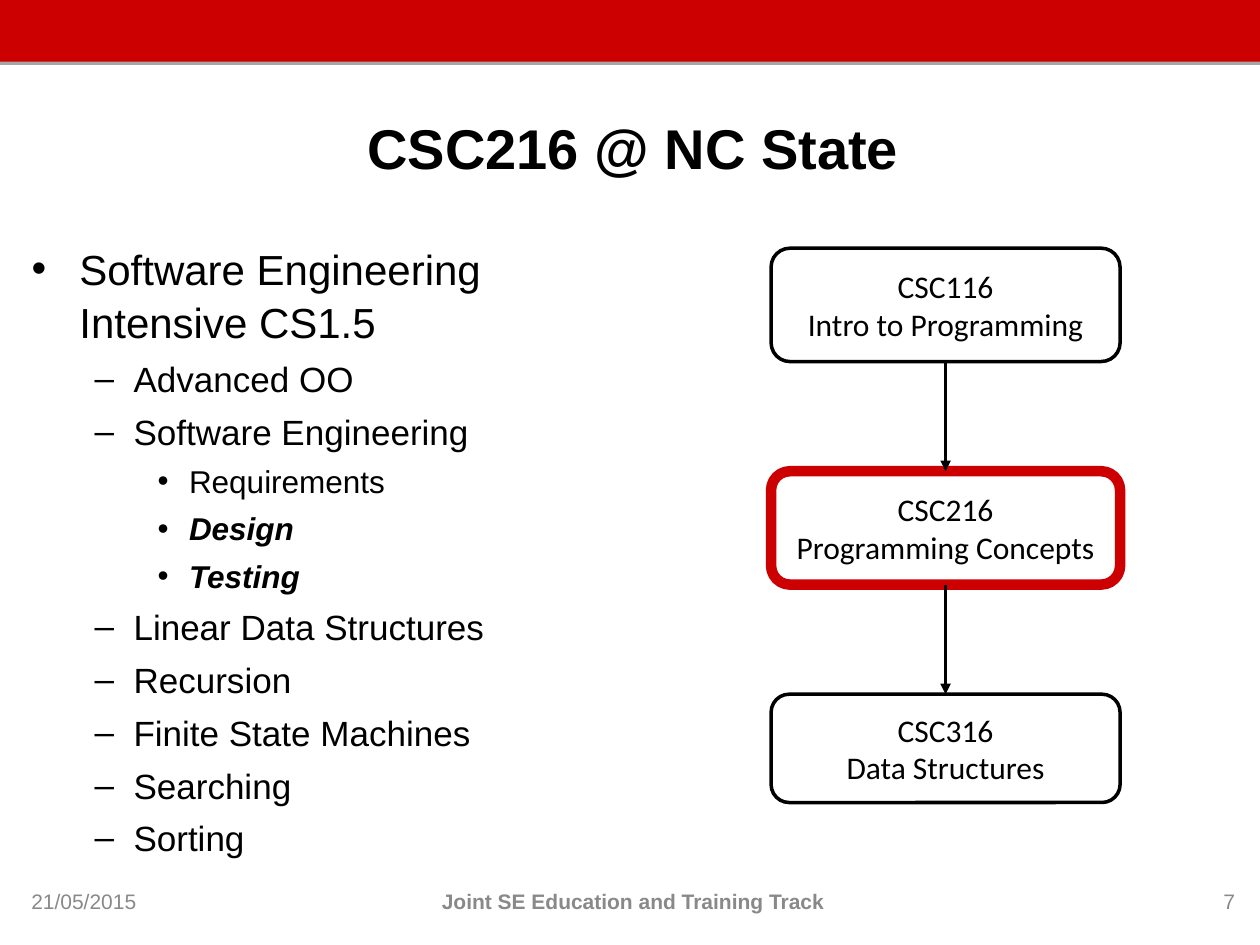
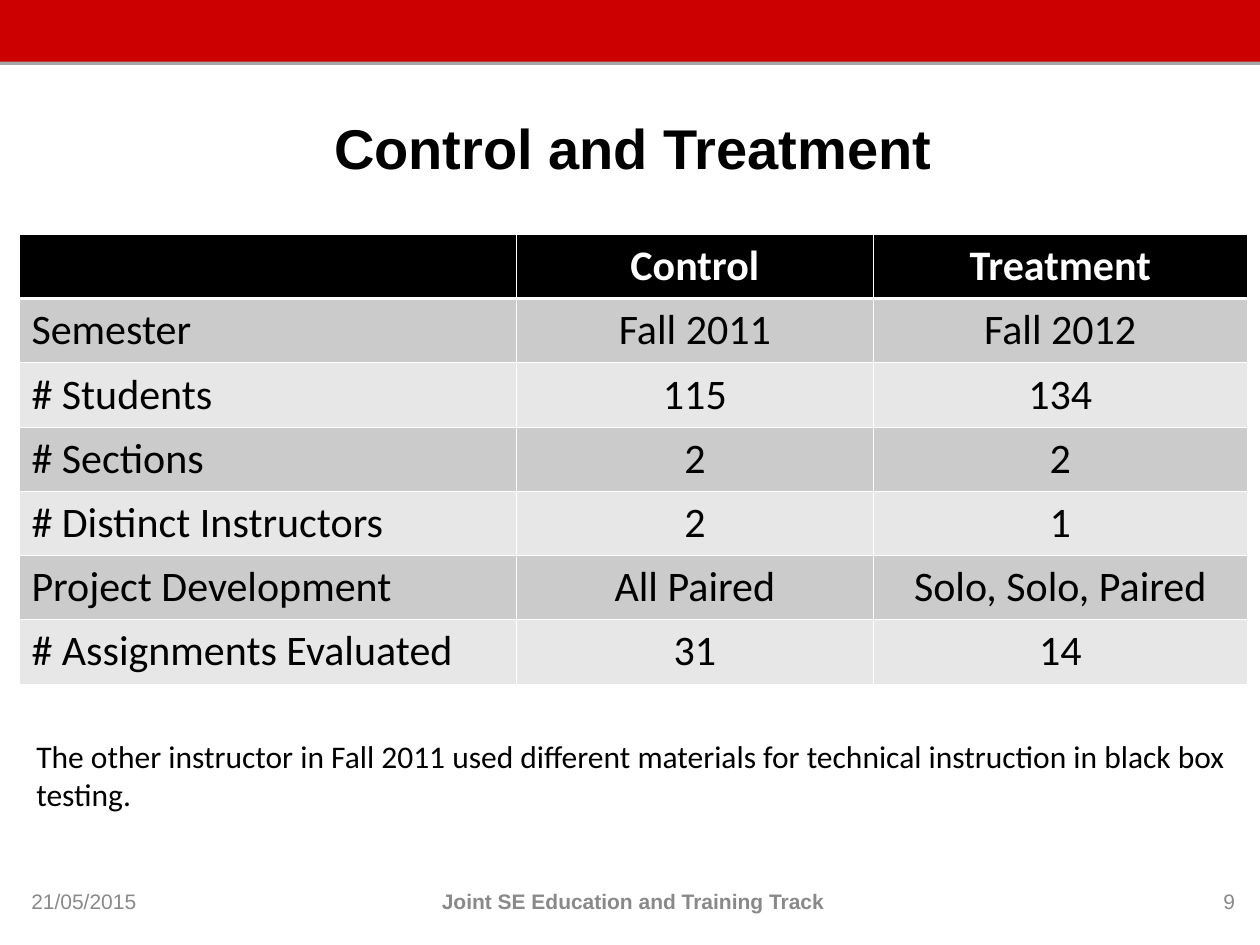
import lxml.etree
import pptx
import pptx.dml.color
import pptx.enum.shapes
import pptx.enum.text
import pptx.oxml.ns
import pptx.util

Inches = pptx.util.Inches
Pt = pptx.util.Pt
qn = pptx.oxml.ns.qn
ALIGN = pptx.enum.text.PP_ALIGN
MIDDLE = pptx.enum.text.MSO_ANCHOR.MIDDLE
SHAPE = pptx.enum.shapes.MSO_SHAPE

COLORS = {
    "red": "CC0001",
    "black": "000000",
    "white": "FFFFFF",
    "footer": "898989",
    "dark row": "CBCBCB",
    "light row": "E7E7E7",
}
RGB = {name: pptx.dml.color.RGBColor.from_string(value) for name, value in COLORS.items()}
LEFT, CONTENT_WIDTH = 0.15, 9.75


def format_paragraph(paragraph, size, font="Calibri", color="black", bold=False,
                     italic=False, align=ALIGN.LEFT):
    paragraph.alignment = align
    for run in paragraph.runs:
        run.font.size = Pt(size)
        run.font.name = font
        run.font.bold = bold
        run.font.italic = italic
        run.font.color.rgb = RGB[color]


def add_text_box(slide, left, top, width, height, text):
    box = slide.shapes.add_textbox(Inches(left), Inches(top), Inches(width), Inches(height))
    box.text_frame.word_wrap = True
    box.text_frame.text = text
    return box.text_frame


presentation = pptx.Presentation()
presentation.slide_width = Inches(10)
presentation.slide_height = Inches(7.5)

# Shared band, title and footers
slides = []
for layout, title_text, number in [(1, "CSC216 @ NC State", "7"),
                                   (5, "Control and Treatment", "9")]:
    slide = presentation.slides.add_slide(presentation.slide_layouts[layout])
    slides.append(slide)

    band = slide.shapes.add_shape(SHAPE.RECTANGLE, 0, 0, Inches(10), Inches(0.49))
    band.fill.solid()
    band.fill.fore_color.rgb = RGB["red"]
    band.line.fill.background()
    band.shadow.inherit = False
    effects = band._element.spPr.find(qn("a:effectLst"))
    shadow = lxml.etree.SubElement(effects, qn("a:outerShdw"), dist=str(Pt(1.8)),
                                   dir="5400000", rotWithShape="0")
    shadow_color = lxml.etree.SubElement(shadow, qn("a:srgbClr"), val=COLORS["black"])
    lxml.etree.SubElement(shadow_color, qn("a:alpha"), val="35000")

    title = slide.shapes.title
    title.left, title.top = Inches(LEFT), Inches(0.58)
    title.width, title.height = Inches(CONTENT_WIDTH), Inches(1.17)
    title.text_frame.text = title_text
    title.text_frame.vertical_anchor = MIDDLE
    format_paragraph(title.text_frame.paragraphs[0], 32, "Arial", bold=True, align=ALIGN.CENTER)

    for left, width, text, align in [
        (LEFT, 1.15, "21/05/2015", ALIGN.LEFT),
        (1.52, 7.01, "Joint SE Education and Training Track", ALIGN.CENTER),
        (9.44, 0.46, number, ALIGN.RIGHT),
    ]:
        footer = add_text_box(slide, left, 6.95, width, 0.4, text)
        footer.vertical_anchor = MIDDLE
        format_paragraph(footer.paragraphs[0], 12, "Arial", "footer",
                         bold=align == ALIGN.CENTER, align=align)

course_slide, study_slide = slides

# Course topics: level, text, emphasised
topics = [
    (0, "Software Engineering Intensive CS1.5", False),
    (1, "Advanced OO", False),
    (1, "Software Engineering", False),
    (2, "Requirements", False),
    (2, "Design", True),
    (2, "Testing", True),
    (1, "Linear Data Structures", False),
    (1, "Recursion", False),
    (1, "Finite State Machines", False),
    (1, "Searching", False),
    (1, "Sorting", False),
]
# Per level: size, margin, hanging indent, bullet
levels = [(24, 0.38, 0.38, "•"), (20, 0.81, 0.31, "–"), (18, 1.25, 0.25, "•")]

body = course_slide.placeholders[1]
body.left, body.top = Inches(LEFT), Inches(1.86)
body.width, body.height = Inches(4.85), Inches(4.84)
body.text_frame.auto_size = pptx.enum.text.MSO_AUTO_SIZE.NONE
body.text_frame.text = "\n".join(text for level, text, emphasised in topics)
for paragraph, (level, text, emphasised) in zip(body.text_frame.paragraphs, topics):
    size, margin, hanging, bullet = levels[level]
    paragraph.level = level
    properties = paragraph._p.get_or_add_pPr()
    properties.set("marL", str(Inches(margin)))
    properties.set("indent", str(-Inches(hanging)))
    lxml.etree.SubElement(properties, qn("a:buChar"), char=bullet)
    paragraph.line_spacing = 1.05
    paragraph.space_before = Pt(size / 4 if level else 0)
    format_paragraph(paragraph, size, "Arial", bold=emphasised, italic=emphasised)

# Course sequence
courses = [
    ("CSC116", "Intro to Programming", 0.9, "black", 2),
    ("CSC216", "Programming Concepts", 0.9, "red", 6),
    ("CSC316", "Data Structures", 0.86, "black", 2),
]
course_boxes = []
for index, (code, name, height, line_color, line_width) in enumerate(courses):
    box = course_slide.shapes.add_shape(SHAPE.ROUNDED_RECTANGLE, Inches(6.12),
                                        Inches(1.97 + 1.77 * index), Inches(2.77), Inches(height))
    box.shadow.inherit = False
    box.fill.solid()
    box.fill.fore_color.rgb = RGB["white"]
    box.line.color.rgb = RGB[line_color]
    box.line.width = Pt(line_width)
    box.text_frame.text = f"{code}\n{name}"
    box.text_frame.vertical_anchor = MIDDLE
    for paragraph in box.text_frame.paragraphs:
        format_paragraph(paragraph, 18, align=ALIGN.CENTER)
    course_boxes.append(box)

# Arrows from each course to the next
for upper, lower in zip(course_boxes, course_boxes[1:]):
    arrow = course_slide.shapes.add_connector(pptx.enum.shapes.MSO_CONNECTOR.STRAIGHT, 0, 0, 0, 0)
    arrow.begin_connect(upper, 2)
    arrow.end_connect(lower, 0)
    arrow.line.color.rgb = RGB["black"]
    arrow.line.width = Pt(2)
    lxml.etree.SubElement(arrow.line._get_or_add_ln(), qn("a:tailEnd"), type="triangle")
    lxml.etree.SubElement(arrow._element.spPr, qn("a:effectLst"))

# Study table
rows = [
    ("", "Control", "Treatment"),
    ("Semester", "Fall 2011", "Fall 2012"),
    ("# Students", "115", "134"),
    ("# Sections", "2", "2"),
    ("# Distinct Instructors", "2", "1"),
    ("Project Development", "All Paired", "Solo, Solo, Paired"),
    ("# Assignments Evaluated", "31", "14"),
]
table = study_slide.shapes.add_table(len(rows), 3, Inches(LEFT), Inches(1.86),
                                     Inches(CONTENT_WIDTH), Inches(0.51 * len(rows))).table
for column, width in zip(table.columns, (3.95, 2.83, 2.97)):
    column.width = Inches(width)
for row_index, values in enumerate(rows):
    table.rows[row_index].height = Inches(0.51)
    is_header = row_index == 0
    fill = "black" if is_header else "dark row" if row_index % 2 else "light row"
    for column_index, value in enumerate(values):
        cell = table.cell(row_index, column_index)
        cell.text_frame.text = value
        format_paragraph(cell.text_frame.paragraphs[0], 24,
                         color="white" if is_header else "black", bold=is_header,
                         align=ALIGN.CENTER if column_index else ALIGN.LEFT)
        # White borders, heavier under the header
        cell_properties = cell._tc.get_or_add_tcPr()
        for side in ("lnL", "lnR", "lnT", "lnB"):
            under_header = (row_index, side) in [(0, "lnB"), (1, "lnT")]
            border = lxml.etree.SubElement(cell_properties, qn("a:" + side),
                                           w=str(Pt(1.47 if under_header else 0.45)))
            border_fill = lxml.etree.SubElement(border, qn("a:solidFill"))
            lxml.etree.SubElement(border_fill, qn("a:srgbClr"), val=COLORS["white"])
        cell.fill.solid()
        cell.fill.fore_color.rgb = RGB[fill]

# Note below the table
note = add_text_box(study_slide, 0.19, 5.8, 9.68, 0.7,
                    "The other instructor in Fall 2011 used different materials for "
                    "technical instruction in black box testing.")
format_paragraph(note.paragraphs[0], 18)

presentation.save("out.pptx")
